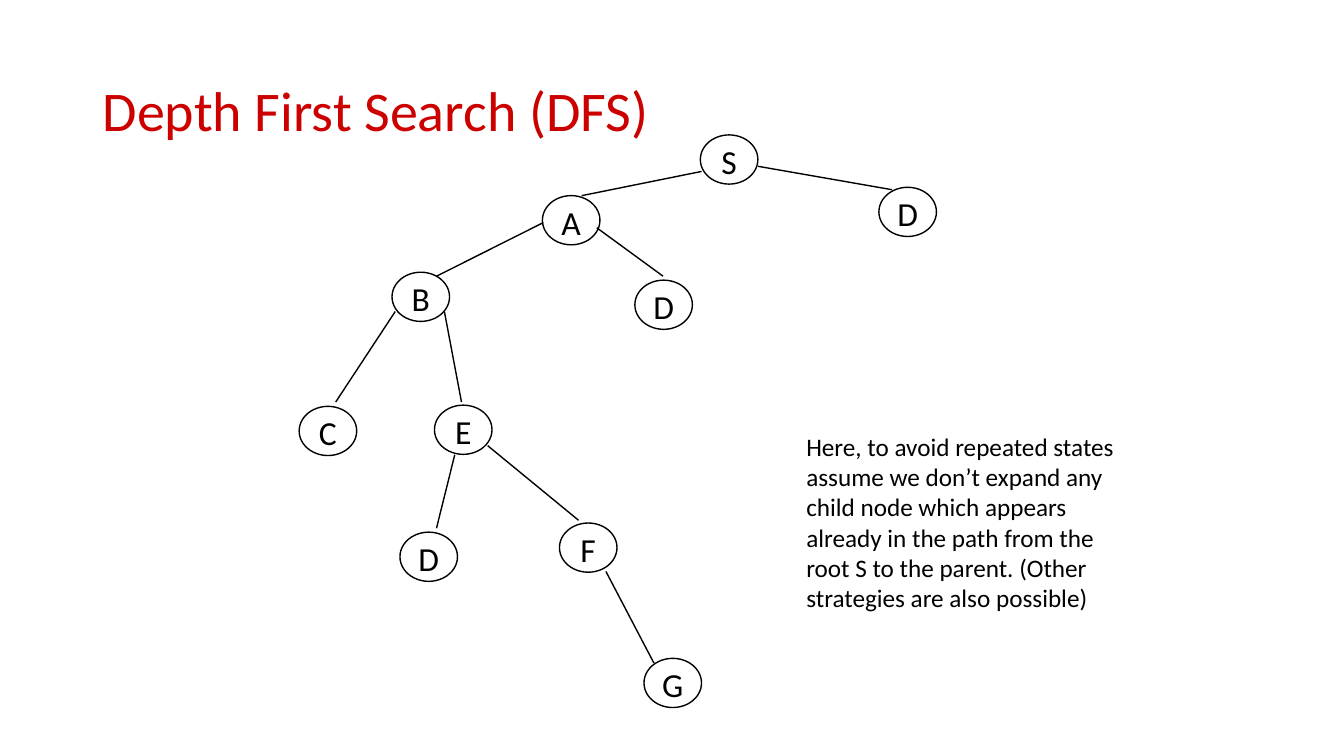
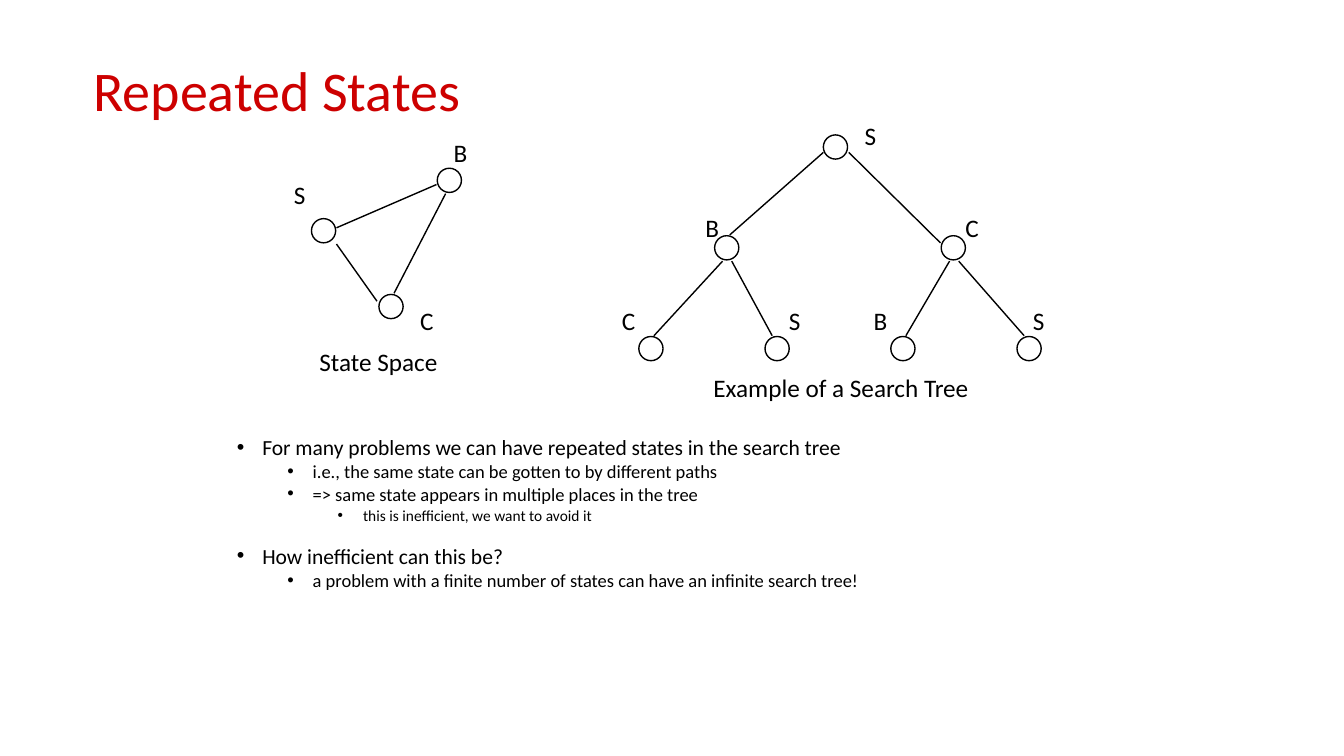
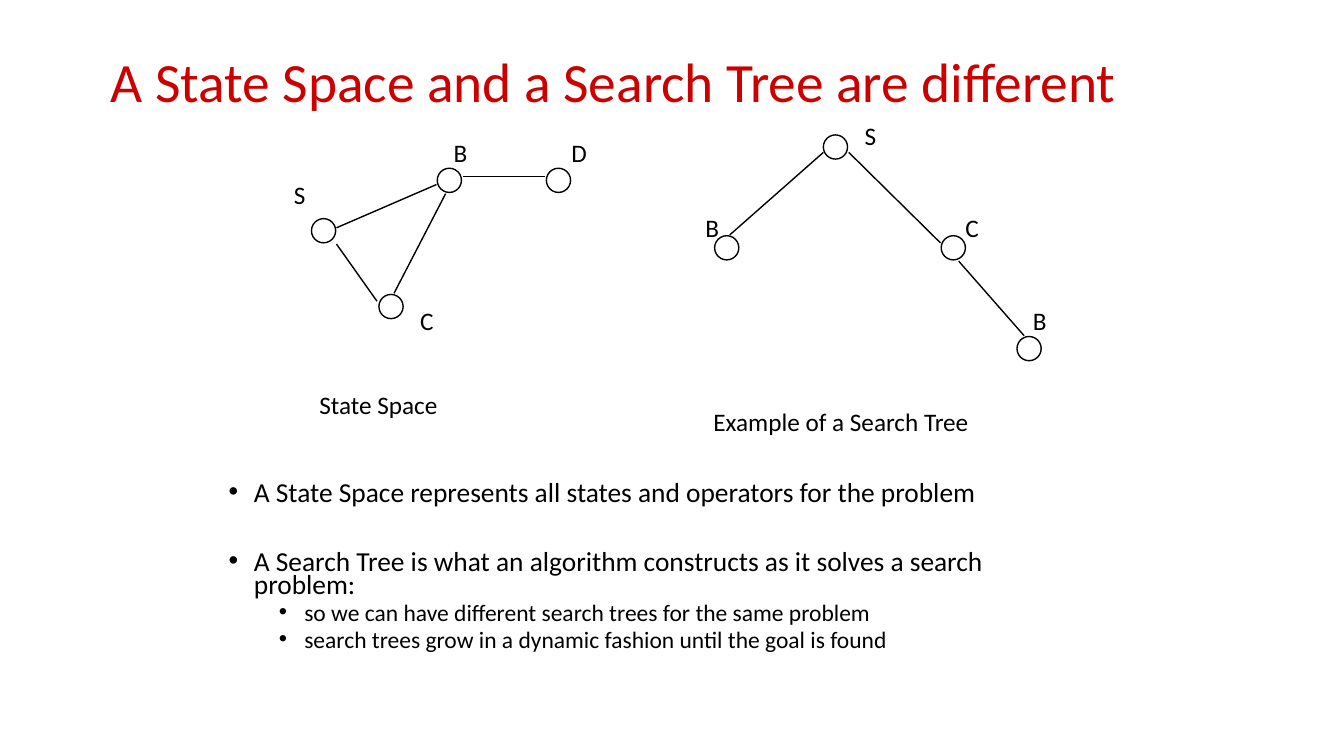
"""Build three slides on depth first search, state spaces and search trees."""
from dataclasses import dataclass

from lxml.etree import SubElement
from pptx import Presentation
from pptx.dml.color import RGBColor
from pptx.enum.shapes import MSO_CONNECTOR, MSO_SHAPE
from pptx.enum.text import MSO_ANCHOR, PP_ALIGN
from pptx.oxml.ns import qn
from pptx.util import Cm, Pt

FONT = "Calibri"
BLACK = "000000"
RED = "CD0000"
LINE_WIDTH = Pt(1)
CIRCLE = 0.61
OVAL_WIDTH, OVAL_HEIGHT = 1.45, 1.24
LABEL_WIDTH, LABEL_HEIGHT = 0.84, 1.02


@dataclass(frozen=True)
class Area:
    left: float
    top: float
    width: float
    height: float


@dataclass(frozen=True)
class Oval:
    letter: str
    left: float
    top: float


@dataclass(frozen=True)
class Circle:
    letter: str
    left: float
    top: float
    label_left: float
    label_top: float


@dataclass(frozen=True)
class Link:
    from_x: float
    from_y: float
    to_x: float
    to_y: float


@dataclass(frozen=True)
class Bullet:
    text: str
    size: float
    level: int = 0
    before: float = 5


DFS_OVALS = [
    Oval("S", 17.65, 3.4),
    Oval("A", 13.67, 4.93),
    Oval("D", 22.15, 4.72),
    Oval("B", 9.88, 6.86),
    Oval("D", 16, 7.06),
    Oval("C", 7.54, 10.24),
    Oval("E", 10.95, 10.21),
    Oval("D", 10.08, 13.41),
    Oval("F", 14.1, 13.18),
    Oval("G", 16.23, 16.59),
]
DFS_LINKS = [
    Link(17.68, 4.32, 14.66, 4.93),
    Link(19.1, 4.19, 22.48, 4.78),
    Link(13.69, 5.61, 11, 6.96),
    Link(15.04, 5.74, 16.71, 6.96),
    Link(9.96, 7.85, 8.46, 10.13),
    Link(11.2, 7.85, 11.63, 10.13),
    Link(11.46, 11.46, 11, 13.31),
    Link(12.29, 11.23, 14.58, 13.11),
    Link(15.27, 14.4, 16.48, 16.71),
]
DFS_NOTE = (
    "Here, to avoid repeated states assume we don’t expand any child node "
    "which appears already in the path from the root S to the parent. "
    "(Other strategies are also possible)"
)

SHARED_CIRCLES = [
    Circle("S", 7.85, 5.51, 7.16, 4.39),
    Circle("C", 9.55, 7.42, 10.34, 7.57),
    Circle("B", 11.02, 4.24, 11.18, 3.33),
    Circle("S", 20.75, 3.4, 21.54, 2.9),
    Circle("B", 18.01, 5.94, 17.53, 5.23),
    Circle("C", 23.72, 5.94, 24.08, 5.23),
]
SHARED_LINKS = [
    Link(8.48, 5.74, 11, 4.65),
    Link(11.23, 4.88, 9.93, 7.39),
    Link(8.48, 6.15, 9.5, 7.59),
    Link(20.75, 3.84, 18.39, 5.92),
    Link(21.39, 3.84, 23.7, 6.12),
    Link(24.16, 6.58, 25.81, 8.46),
]
REPEATED_CIRCLES = [
    Circle("C", 16.1, 8.48, 15.42, 7.57),
    Circle("S", 19.28, 8.48, 19.63, 7.57),
    Circle("B", 22.45, 8.48, 21.77, 7.57),
    Circle("S", 25.63, 8.48, 25.78, 7.57),
]
REPEATED_LINKS = [
    Link(18.21, 6.58, 16.48, 8.46),
    Link(18.44, 6.58, 19.46, 8.46),
    Link(23.93, 6.58, 22.83, 8.46),
]
DIFFERENT_CIRCLES = [
    Circle("D", 13.77, 4.24, 14.15, 3.33),
    Circle("B", 25.63, 8.48, 25.78, 7.57),
]
DIFFERENT_LINKS = [Link(11.66, 4.45, 13.74, 4.45)]

REPEATED_BULLETS = [
    Bullet("For many problems we can have repeated states in the search tree", 15.4, 0, 10),
    Bullet("i.e., the same state can be gotten to by different paths", 13.2, 1),
    Bullet("=> same state appears in multiple places in the tree", 13.2, 1),
    Bullet("this is inefficient, we want to avoid it", 11, 2),
    Bullet("How inefficient can this be?", 15.4, 0, 18.5),
    Bullet("a problem with a finite number of states can have an infinite search tree!", 13.2, 1),
]
DIFFERENT_BULLETS = [
    Bullet("A State Space represents all states and operators for the problem", 19.6, 0, 10),
    Bullet(
        "A Search Tree is what an algorithm constructs as it solves a search problem:",
        19.6, 0, 33,
    ),
    Bullet("so we can have different search trees for the same problem", 16.8, 1),
    Bullet("search trees grow in a dynamic fashion until the goal is found", 16.8, 1),
]


def color(value: str) -> RGBColor:
    return RGBColor.from_string(value)


def set_font(paragraph, size: float, value: str = BLACK) -> None:
    paragraph.font.name = FONT
    paragraph.font.size = Pt(size)
    paragraph.font.color.rgb = color(value)


def add_box(page, area: Area, wrap: bool = True):
    box = page.shapes.add_textbox(
        Cm(area.left), Cm(area.top), Cm(area.width), Cm(area.height)
    )
    box.text_frame.word_wrap = wrap
    return box.text_frame


def add_text(page, text: str, area: Area, wrap: bool = False) -> None:
    paragraph = add_box(page, area, wrap).paragraphs[0]
    paragraph.text = text
    set_font(paragraph, 18)


def add_title(page, text: str, area: Area, size: float = 40) -> None:
    frame = add_box(page, area)
    frame.vertical_anchor = MSO_ANCHOR.MIDDLE
    paragraph = frame.paragraphs[0]
    paragraph.text = text
    paragraph.line_spacing = 0.9
    set_font(paragraph, size, RED)


def add_bullets(page, bullets: list[Bullet], area: Area) -> None:
    frame = add_box(page, area)
    for index, bullet in enumerate(bullets):
        paragraph = frame.add_paragraph() if index else frame.paragraphs[0]
        paragraph.text = bullet.text
        paragraph.level = bullet.level
        paragraph.line_spacing = 0.7
        paragraph.space_before = Pt(bullet.before)
        set_font(paragraph, bullet.size)
        properties = paragraph._p.get_or_add_pPr()
        properties.set("marL", str(Cm(0.64 + 1.27 * bullet.level)))
        properties.set("indent", str(-Cm(0.64)))
        SubElement(properties, qn("a:buFont")).set("typeface", "Arial")
        SubElement(properties, qn("a:buChar")).set("char", "•")


def add_ellipse(page, area: Area):
    ellipse = page.shapes.add_shape(
        MSO_SHAPE.OVAL, Cm(area.left), Cm(area.top), Cm(area.width), Cm(area.height)
    )
    ellipse.shadow.inherit = False
    ellipse.fill.background()
    ellipse.line.color.rgb = color(BLACK)
    ellipse.line.width = LINE_WIDTH
    return ellipse


def add_oval(page, oval: Oval) -> None:
    area = Area(oval.left, oval.top, OVAL_WIDTH, OVAL_HEIGHT)
    frame = add_ellipse(page, area).text_frame
    frame.word_wrap = False
    frame.vertical_anchor = MSO_ANCHOR.MIDDLE
    frame.margin_left = frame.margin_right = frame.margin_bottom = 0
    frame.margin_top = Cm(0.08)
    paragraph = frame.paragraphs[0]
    paragraph.text = oval.letter
    paragraph.alignment = PP_ALIGN.CENTER
    set_font(paragraph, 24)


def add_circle(page, circle: Circle) -> None:
    add_ellipse(page, Area(circle.left, circle.top, CIRCLE, CIRCLE))
    label = Area(circle.label_left, circle.label_top, LABEL_WIDTH, LABEL_HEIGHT)
    add_text(page, circle.letter, label)


def add_link(page, link: Link) -> None:
    line = page.shapes.add_connector(
        MSO_CONNECTOR.STRAIGHT,
        Cm(link.from_x), Cm(link.from_y), Cm(link.to_x), Cm(link.to_y),
    )
    line.line.color.rgb = color(BLACK)
    line.line.width = LINE_WIDTH
    SubElement(line._element.spPr, qn("a:effectLst"))


def add_graphs(
    page, circles: list[Circle], links: list[Link], space_top: float, tree_top: float
) -> None:
    for circle in SHARED_CIRCLES + circles:
        add_circle(page, circle)
    for link in SHARED_LINKS + links:
        add_link(page, link)
    add_text(page, "State Space", Area(7.8, space_top, 3.51, LABEL_HEIGHT))
    add_text(page, "Example of a Search Tree", Area(17.73, tree_top, 7.11, LABEL_HEIGHT))


def build_dfs(page) -> None:
    add_title(page, "Depth First Search (DFS)", Area(2.34, 1.02, 29.21, 3.68))
    for oval in DFS_OVALS:
        add_oval(page, oval)
    for link in DFS_LINKS:
        add_link(page, link)
    add_text(page, DFS_NOTE, Area(20.07, 10.74, 8.94, 4.83), wrap=True)


def build_repeated(page) -> None:
    add_title(page, "Repeated States", Area(2.11, 0.51, 29.21, 3.68))
    add_bullets(page, REPEATED_BULLETS, Area(5.72, 11, 21.79, 4.24))
    add_graphs(page, REPEATED_CIRCLES, REPEATED_LINKS, 8.61, 9.25)


def build_different(page) -> None:
    title = "A State Space and a Search Tree are different"
    add_title(page, title, Area(2.54, 1.27, 29.9, 1.7), 39.6)
    add_bullets(page, DIFFERENT_BULLETS, Area(5.51, 12.07, 21.79, 4.65))
    add_graphs(page, DIFFERENT_CIRCLES, DIFFERENT_LINKS, 9.68, 10.11)


def main() -> None:
    deck = Presentation()
    deck.slide_width, deck.slide_height = Cm(33.87), Cm(19.05)
    for build in (build_dfs, build_repeated, build_different):
        build(deck.slides.add_slide(deck.slide_layouts[6]))
    deck.save("out.pptx")


if __name__ == "__main__":
    main()
